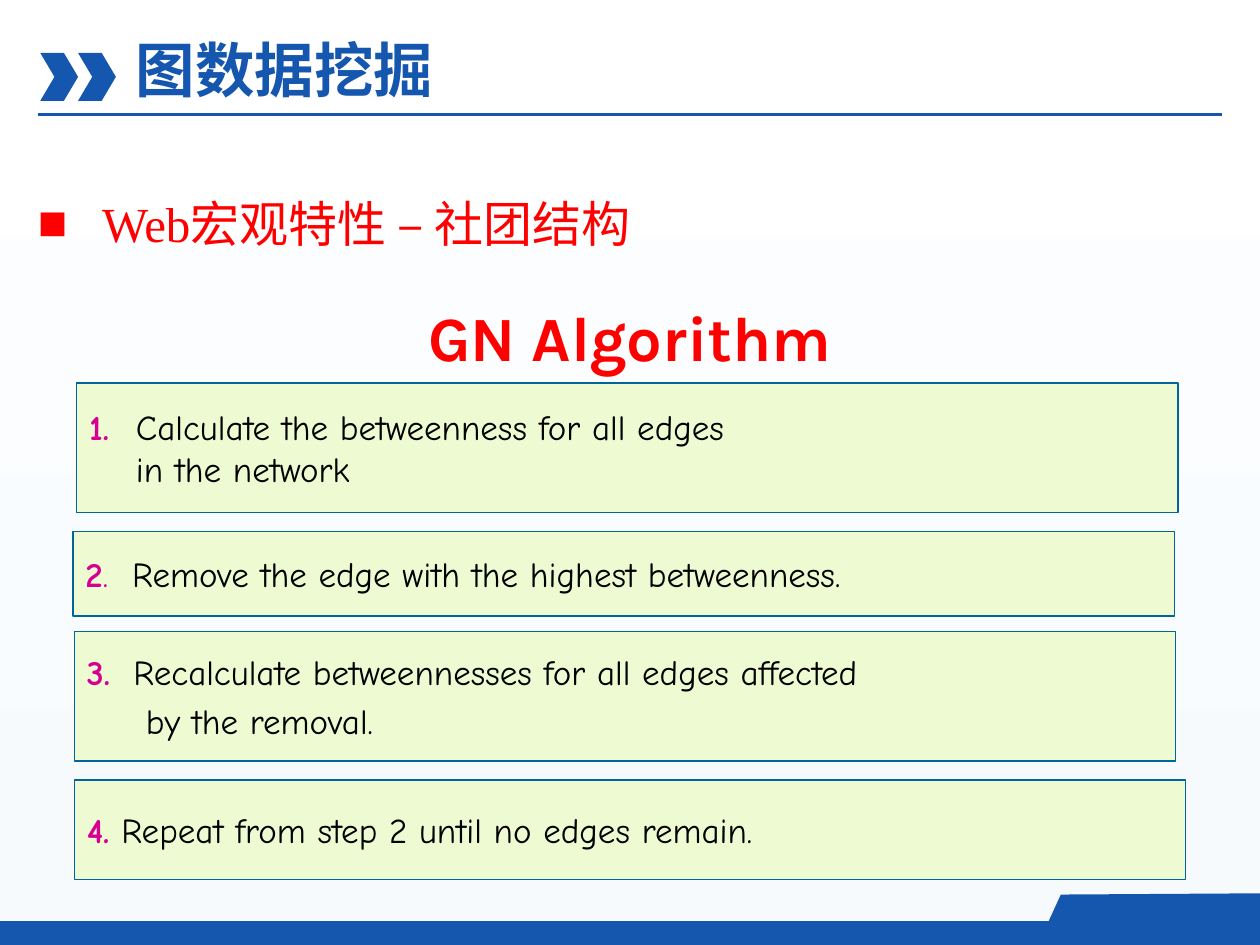
from lxml import etree
from pptx import Presentation, util as u
from pptx.dml.color import RGBColor
from pptx.enum import shapes, text
from pptx.oxml.ns import qn

BLUE = RGBColor(0x15, 0x57, 0xAE)
RED = RGBColor(0xFF, 0x00, 0x00)
MAGENTA = RGBColor(0xD6, 0x00, 0x93)
BLACK = RGBColor(0x00, 0x00, 0x00)
CARD_FILL = RGBColor(0xED, 0xFA, 0xD2)
CARD_LINE = RGBColor(0x00, 0x66, 0x99)
SKY = [RGBColor(0xFF, 0xFF, 0xFF), RGBColor(0xF6, 0xFA, 0xFD)]
SERIF, SANS, HAND = "Times New Roman", "Karla", "Comic Neue"

# Content
SECTION = "图数据挖掘"
TOPIC = "Web宏观特性 – 社团结构"
ALGORITHM = "GN Algorithm"
# bold number, plain mark, gap, lines, indent of the second line, space before it, box
STEPS = [
    ("1.", "", "\t", ["Calculate the betweenness for all edges", "in the network"],
     0.37, 0, (0.61, 3.04, 8.74, 1.03)),
    ("2", ".", "\t", ["Remove the edge with the highest betweenness."],
     0, 0, (0.58, 4.22, 8.74, 0.67)),
    ("3.", "", "\t", ["Recalculate betweennesses for all edges affected", "by the removal."],
     0.47, 4, (0.59, 5.01, 8.74, 1.03)),
    ("4.", "", " ", ["Repeat from step 2 until no edges remain."],
     0, 0, (0.59, 6.19, 8.82, 0.79)),
]
NUMBER_WIDTH = 0.37

prs = Presentation()
prs.slide_width, prs.slide_height = u.Inches(10), u.Inches(7.5)
slide = prs.slides.add_slide(prs.slide_layouts[1])


def inches(box):
    return [u.Inches(length) for length in box]


def place(shape, box):
    shape.left, shape.top, shape.width, shape.height = inches(box)


def write(paragraph, words, font, size, color, bold=False):
    run = paragraph.add_run()
    run.text = words
    run.font.name, run.font.size = font, u.Pt(size)
    run.font.bold, run.font.color.rgb = bold, color


def indent(paragraph, left, first=0):
    props = paragraph._p.get_or_add_pPr()
    props.set("marL", str(u.Inches(left)))
    props.set("indent", str(u.Inches(first)))
    return props


def paint(shape, fill, line=None):
    shape.shadow.inherit = False
    shape.fill.solid()
    shape.fill.fore_color.rgb = fill
    if line is None:
        shape.line.fill.background()
    else:
        shape.line.color.rgb, shape.line.width = line, u.Pt(0.75)


def add_block(kind, box, fill, line=None):
    block = slide.shapes.add_shape(kind, *inches(box))
    paint(block, fill, line)
    return block


# Background
sky = slide.background.fill
sky.gradient()
sky.gradient_angle = 270
for stop, color, position in zip(sky.gradient_stops, SKY, (0, 1)):
    stop.color.rgb, stop.position = color, position

# Footer band with its raised tab
add_block(shapes.MSO_SHAPE.RECTANGLE, (0, 7.31, 10, 0.19), BLUE)
outline = slide.shapes.build_freeform(u.Inches(10), u.Inches(7.45))
outline.add_line_segments([inches(point) for point in
                           ((10, 7.09), (8.42, 7.1), (8.26, 7.45))], close=True)
paint(outline.convert_to_shape(), BLUE)

# Header rule and chevrons
rule = slide.shapes.add_connector(shapes.MSO_CONNECTOR.STRAIGHT,
                                  *inches((0.3, 0.91, 9.7, 0.91)))
rule.line.color.rgb, rule.line.width = BLUE, u.Pt(1.5)
etree.SubElement(rule._element.spPr, qn("a:effectLst"))
for column in range(2):
    chevron = add_block(shapes.MSO_SHAPE.CHEVRON, (0.32 + 0.3 * column, 0.42, 0.3, 0.38), BLUE)
    chevron.adjustments[0] = 0.375

# Step cards
for number, mark, gap, lines, second_indent, space, box in STEPS:
    card = add_block(shapes.MSO_SHAPE.RECTANGLE, box, CARD_FILL, CARD_LINE)
    frame = card.text_frame
    frame.word_wrap, frame.vertical_anchor = True, text.MSO_ANCHOR.MIDDLE
    for row, line in enumerate(lines):
        paragraph = frame.add_paragraph() if row else frame.paragraphs[0]
        paragraph.alignment = text.PP_ALIGN.LEFT
        if row:
            indent(paragraph, second_indent)
            paragraph.space_before = u.Pt(space)
        else:
            indent(paragraph, NUMBER_WIDTH, -NUMBER_WIDTH)
            write(paragraph, number, HAND, 20, MAGENTA, bold=True)
            write(paragraph, mark + gap, HAND, 20, MAGENTA)
        write(paragraph, line, HAND, 20, BLACK)

# Algorithm title
title = slide.shapes.title
place(title, (0.5, 1.78, 9, 1.25))
title.text_frame.auto_size = text.MSO_AUTO_SIZE.NONE
title.text_frame.vertical_anchor = text.MSO_ANCHOR.BOTTOM
heading = title.text_frame.paragraphs[0]
heading.alignment, heading.line_spacing = text.PP_ALIGN.CENTER, 0.9
write(heading, ALGORITHM, SANS, 36, RED, bold=True)

# Section label
label = slide.shapes.add_textbox(*inches((0.98, 0.21, 2.59, 0.67)))
label.text_frame.word_wrap = False
write(label.text_frame.paragraphs[0], SECTION, SERIF, 34, BLUE, bold=True)

# Topic bullet
body = slide.placeholders[1]
place(body, (0.2, 1.39, 9.36, 2.89))
body.text_frame.auto_size = text.MSO_AUTO_SIZE.NONE
topic = body.text_frame.paragraphs[0]
props = indent(topic, 0.51, -0.51)
bullet_color = etree.SubElement(props, qn("a:buClr"))
etree.SubElement(bullet_color, qn("a:srgbClr"), val=str(RED))
etree.SubElement(props, qn("a:buChar"), char="■")
topic.line_spacing, topic.space_before = 1.2, u.Pt(0)
write(topic, TOPIC, SERIF, 28, RED)

prs.save("out.pptx")
